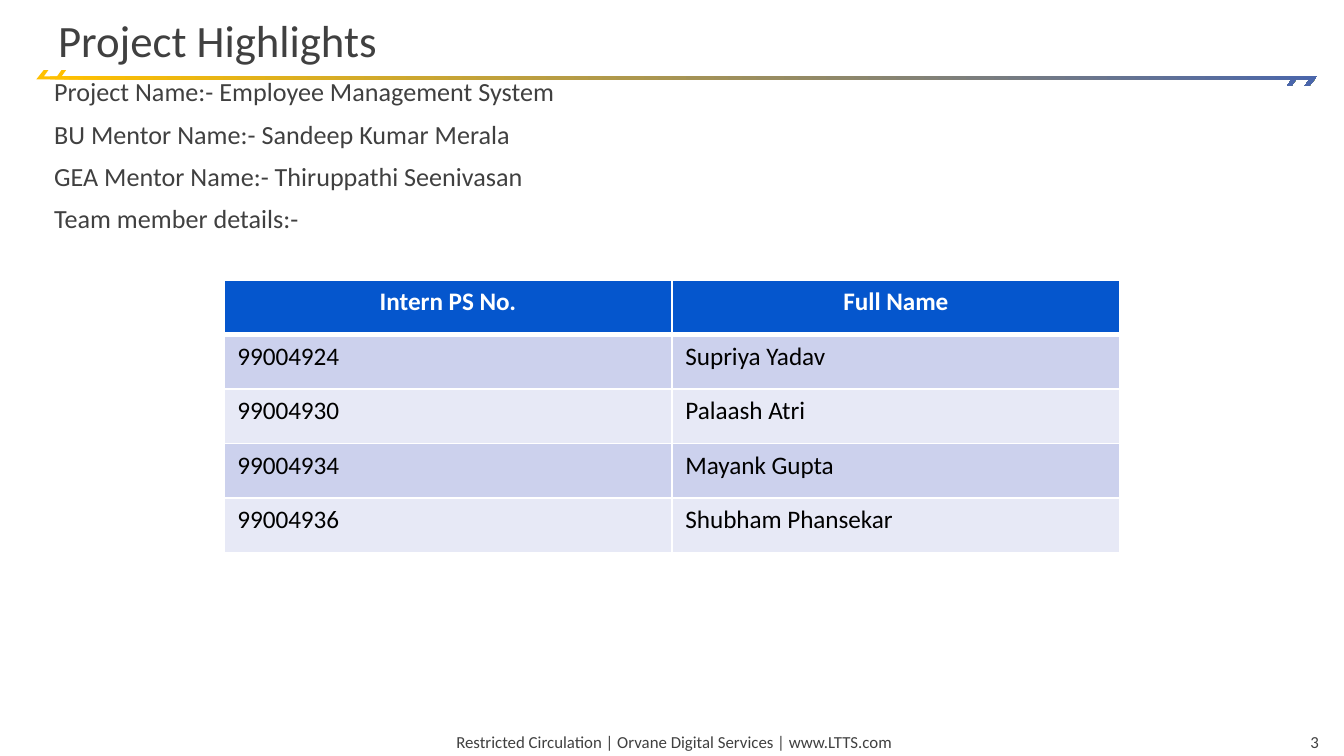
"""Build the project highlights slide with its team table."""
from lxml import etree
from pptx import Presentation
from pptx.dml.color import RGBColor
from pptx.enum.text import MSO_ANCHOR, PP_ALIGN
from pptx.oxml.ns import qn
from pptx.util import Pt

GREY = RGBColor(0x40, 0x40, 0x40)
WHITE = RGBColor(0xFF, 0xFF, 0xFF)
BLACK = RGBColor(0, 0, 0)
BLUE = RGBColor(0x05, 0x56, 0xCD)
BANDS = [RGBColor(0xCC, 0xD1, 0xED), RGBColor(0xE7, 0xE9, 0xF6)]
GOLD = RGBColor(0xFF, 0xC0, 0x00)
NAVY = RGBColor(0x4A, 0x66, 0xAC)
FONT = "Calibri"

TITLE = "Project Highlights"
FACTS = [
    "Project Name:- Employee Management System",
    "BU Mentor Name:- Sandeep Kumar Merala",
    "GEA Mentor Name:- Thiruppathi Seenivasan",
    "Team member details:-",
]
TEAM = [
    ("Intern PS No.", "Full Name"),
    ("99004924", "Supriya Yadav"),
    ("99004930", "Palaash Atri"),
    ("99004934", "Mayank Gupta"),
    ("99004936", "Shubham Phansekar"),
]
FOOTER = "Restricted Circulation | Orvane Digital Services | www.LTTS.com"
PAGE = "3"

RULE = [
    (23.5, 37.5), (26, 37.5), (23.5, 41), (695.5, 41), (692, 46),
    (689.5, 46), (692, 42.5), (19.5, 42.5),
]
TURN = (725, 83.5)


def style(par, size, color, bold=False):
    for run in par.runs:
        font = run.font
        font.name, font.size, font.bold = FONT, Pt(size), bold
        font.color.rgb = color


def add_text(slide, area, lines, size, align=PP_ALIGN.LEFT, inset=(5, 3),
             anchor=MSO_ANCHOR.TOP, pitch=1.0, gap=0, wrap=True):
    frame = slide.shapes.add_textbox(*map(Pt, area)).text_frame
    frame.word_wrap = wrap
    frame.vertical_anchor = anchor
    frame.margin_left = frame.margin_right = Pt(inset[0])
    frame.margin_top = frame.margin_bottom = Pt(inset[1])
    frame.text = "\n".join(lines)
    for i, par in enumerate(frame.paragraphs):
        par.alignment = align
        par.line_spacing = pitch
        par.space_before = Pt(gap if i else 0)
        style(par, size, GREY)


def add_rule(slide, points):
    spots = [(Pt(x), Pt(y)) for x, y in points]
    pen = slide.shapes.build_freeform(*spots[0])
    pen.add_line_segments(spots[1:], close=True)
    rule = pen.convert_to_shape()
    rule.shadow.inherit = False
    rule.line.fill.background()
    rule.fill.gradient()
    rule.fill.gradient_angle = 0
    for stop, color in zip(rule.fill.gradient_stops, (GOLD, NAVY)):
        stop.color.rgb = color


def add_edge(cell, side, width):
    line = etree.SubElement(cell._tc.get_or_add_tcPr(), qn("a:ln" + side), w=str(Pt(width)))
    fill = etree.SubElement(line, qn("a:solidFill"))
    etree.SubElement(fill, qn("a:srgbClr"), val=str(WHITE))


def add_team(slide):
    area = map(Pt, (120, 150, 480, 146))
    table = slide.shapes.add_table(len(TEAM), len(TEAM[0]), *area).table
    for r, row in enumerate(TEAM):
        head = r == 0
        for c, label in enumerate(row):
            cell = table.cell(r, c)
            for side in "LRTB":
                thick = (head and side == "B") or (r == 1 and side == "T")
                add_edge(cell, side, 3 if thick else 1)
            cell.fill.solid()
            cell.fill.fore_color.rgb = BLUE if head else BANDS[(r - 1) % 2]
            cell.text_frame.text = label
            par = cell.text_frame.paragraphs[0]
            par.alignment = PP_ALIGN.CENTER if head else PP_ALIGN.LEFT
            style(par, 13.5, WHITE if head else BLACK, head)


def main():
    deck = Presentation()
    deck.slide_width, deck.slide_height = Pt(720), Pt(405)
    slide = deck.slides.add_slide(deck.slide_layouts[6])
    add_text(slide, (234, 389, 254, 16.5), [FOOTER], 9, PP_ALIGN.CENTER, wrap=False)
    add_text(slide, (675.5, 389, 36, 16.5), [PAGE], 9, PP_ALIGN.RIGHT)
    add_rule(slide, RULE)
    add_rule(slide, [(TURN[0] - x, TURN[1] - y) for x, y in RULE])
    add_text(slide, (24, 0, 672, 39.5), [TITLE], 24, inset=(7.2, 3.6),
             anchor=MSO_ANCHOR.BOTTOM, pitch=0.9)
    add_text(slide, (24, 39.5, 672, 356.5), FACTS, 14, pitch=0.9, gap=7.5)
    add_team(slide)
    deck.save("out.pptx")


if __name__ == "__main__":
    main()
